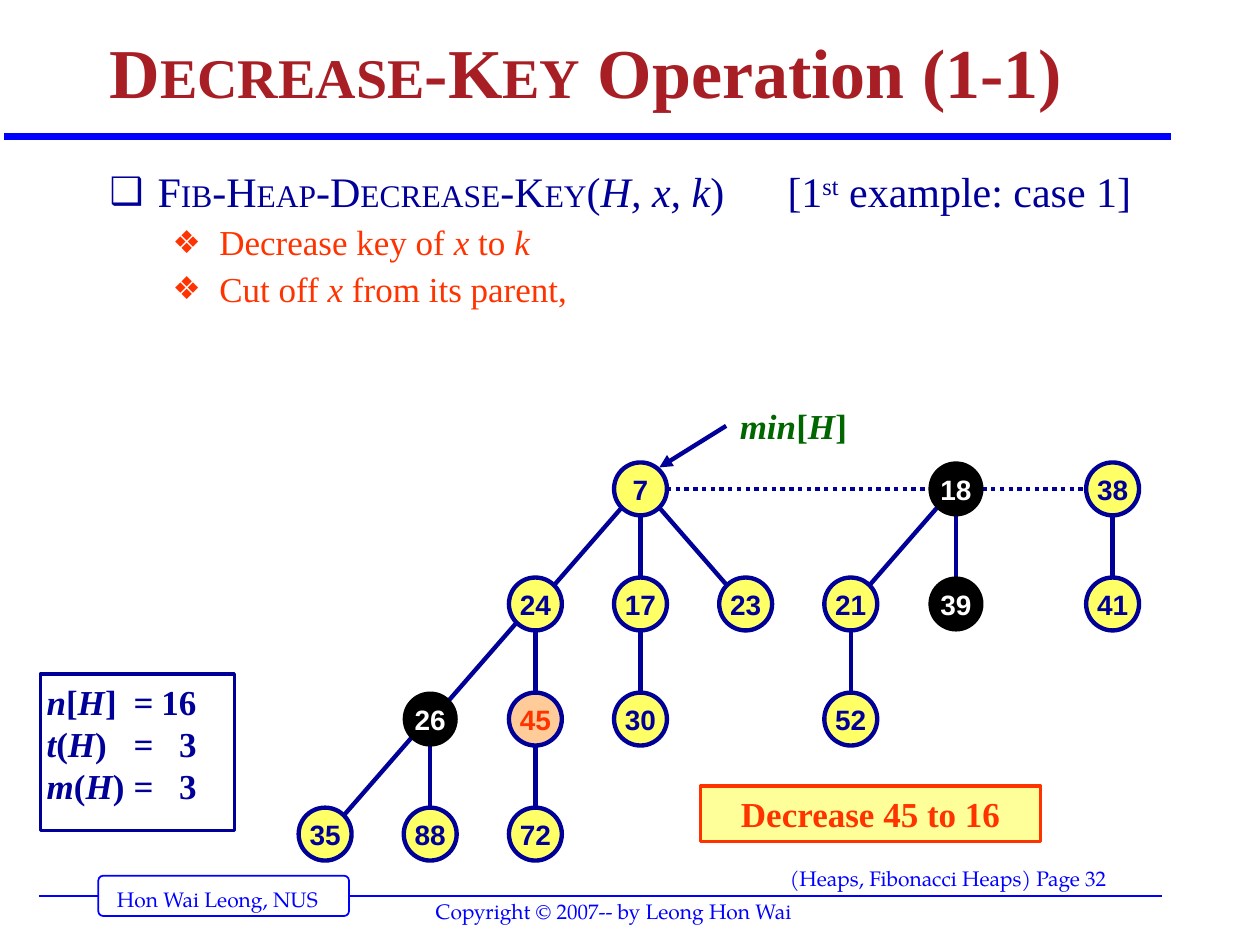
from dataclasses import dataclass

from lxml import etree
from pptx import Presentation
from pptx.dml.color import RGBColor
from pptx.enum.dml import MSO_LINE
from pptx.enum.shapes import MSO_CONNECTOR, MSO_SHAPE
from pptx.enum.text import MSO_ANCHOR, MSO_AUTO_SIZE, PP_ALIGN
from pptx.oxml.ns import qn
from pptx.util import Inches, Pt

STRAIGHT = MSO_CONNECTOR.STRAIGHT
DOTTED = MSO_LINE.ROUND_DOT
OVAL, RECTANGLE, ROUNDED = MSO_SHAPE.OVAL, MSO_SHAPE.RECTANGLE, MSO_SHAPE.ROUNDED_RECTANGLE
TOP, MIDDLE, BOTTOM = MSO_ANCHOR.TOP, MSO_ANCHOR.MIDDLE, MSO_ANCHOR.BOTTOM
LEFT, CENTER = PP_ALIGN.LEFT, PP_ALIGN.CENTER
NO_AUTOFIT = MSO_AUTO_SIZE.NONE
COLUMNS, ROWS = 100, 75
WIDTH, HEIGHT = Inches(10), Inches(7.5)


@dataclass(frozen=True)
class Theme:
    """Colours, fonts and type sizes of the slide."""
    serif: str = "Times New Roman"
    sans: str = "Arial"
    footer_font: str = "TeX Gyre Pagella"
    title: str = "A81E25"
    navy: str = "000099"
    blue: str = "0000FF"
    accent: str = "FF3300"
    green: str = "006600"
    yellow: str = "FFFF66"
    pale_yellow: str = "FFFF99"
    peach: str = "FFCC99"
    black: str = "000000"
    white: str = "FFFFFF"
    title_size: int = 40
    title_caps: int = 32
    heading_size: int = 24
    heading_caps: int = 18
    text_size: int = 20
    node_size: int = 16
    footer_size: int = 12


@dataclass(frozen=True)
class Box:
    """A region in columns and rows of the slide grid."""
    left: float
    top: float
    width: float
    height: float

    def inner(self, left, top, width, height):
        """Return a box offset from this one's corner."""
        return Box(self.left + left, self.top + top, width, height)

    def emu(self):
        """Return the position and size as slide lengths."""
        return (across(self.left), down(self.top), across(self.width), down(self.height))


THEME = Theme()
NODE_STYLES = {
    "plain": (THEME.yellow, THEME.navy, THEME.navy, 2.5),
    "marked": (THEME.black, THEME.black, THEME.white, 1.25),
    "target": (THEME.peach, THEME.navy, THEME.accent, 2.5),
}
NODES = {
    7: (3, 0), 18: (6, 0), 38: (7.49, 0),
    24: (2, 1), 17: (3, 1), 23: (4, 1), 21: (5, 1), 39: (6, 1), 41: (7.49, 1),
    26: (1, 2), 45: (2, 2), 30: (3, 2), 52: (5, 2),
    35: (0, 3), 88: (1, 3), 72: (2, 3),
}
SPECIAL_NODES = {18: "marked", 39: "marked", 26: "marked", 45: "target"}
CHILDREN = {7: (24, 17, 23), 18: (21, 39), 38: (41,), 24: (26, 45),
            17: (30,), 21: (52,), 26: (35, 88), 45: (72,)}
ROOTS = (7, 18, 38)


def across(columns):
    """Convert grid columns to a length."""
    return round(WIDTH * columns / COLUMNS)


def down(rows):
    """Convert grid rows to a length."""
    return round(HEIGHT * rows / ROWS)


def add_text(paragraph, text, size=THEME.text_size, color=THEME.navy, font=THEME.serif,
             bold=False, italic=False, baseline=None):
    """Add one formatted run."""
    run = paragraph.add_run()
    run.text = text
    run.font.size, run.font.name = Pt(size), font
    run.font.bold, run.font.italic = bold, italic
    run.font.color.rgb = RGBColor.from_string(color)
    if baseline:
        run.font._element.set("baseline", str(baseline))


def add_alternating(paragraph, text, alternate, **style):
    """Add runs split at bars, giving every second one the alternate format."""
    for index, piece in enumerate(text.split("|")):
        if piece:
            add_text(paragraph, piece, **(style | alternate if index % 2 else style))


def set_tabs(paragraph, *stops):
    """Set tab stops given as pairs of inches and alignment."""
    tab_list = etree.SubElement(paragraph._p.get_or_add_pPr(), qn("a:tabLst"))
    for position, alignment in stops:
        etree.SubElement(tab_list, qn("a:tab"), pos=str(Inches(position)), algn=alignment)


def set_bullet(paragraph, character, color, margin, hanging):
    """Give a paragraph a coloured hanging bullet."""
    properties = paragraph._p.get_or_add_pPr()
    properties.set("marL", str(Inches(margin)))
    properties.set("indent", str(-Inches(hanging)))
    bullet_color = etree.SubElement(properties, qn("a:buClr"))
    etree.SubElement(bullet_color, qn("a:srgbClr"), val=color)
    etree.SubElement(properties, qn("a:buSzPct"), val="90000")
    etree.SubElement(properties, qn("a:buChar"), char=character)


def set_frame(shape, anchor=TOP, margin=0.1, wrap=True):
    """Set the text frame's layout and return the frame."""
    frame = shape.text_frame
    frame.auto_size, frame.word_wrap, frame.vertical_anchor = NO_AUTOFIT, wrap, anchor
    frame.margin_left = frame.margin_right = Inches(margin)
    frame.margin_top = frame.margin_bottom = Inches(0.05)
    return frame


def add_label(slide, box, anchor=TOP):
    """Add an unwrapped text box and return its paragraph."""
    return set_frame(slide.shapes.add_textbox(*box.emu()), anchor, wrap=False).paragraphs[0]


def add_panel(slide, kind, box, line, fill=None, weight=1):
    """Add an outlined shape with an optional fill."""
    shape = slide.shapes.add_shape(kind, *box.emu())
    shape.shadow.inherit = False
    shape.line.color.rgb, shape.line.width = RGBColor.from_string(line), Pt(weight)
    if fill:
        shape.fill.solid()
        shape.fill.fore_color.rgb = RGBColor.from_string(fill)
    else:
        shape.fill.background()
    return shape


def add_line(slide, start, end, color=THEME.navy, weight=2.5, dotted=False, arrow=False):
    """Draw a line between two grid points."""
    connector = slide.shapes.add_connector(
        STRAIGHT, across(start[0]), down(start[1]), across(end[0]), down(end[1]))
    connector.line.color.rgb, connector.line.width = RGBColor.from_string(color), Pt(weight)
    if dotted:
        connector.line.dash_style = DOTTED
    properties = connector.element.spPr
    if arrow:
        etree.SubElement(properties.find(qn("a:ln")), qn("a:tailEnd"), type="triangle")
    etree.SubElement(properties, qn("a:effectLst"))


def build_footer(slide, box):
    """Place the footer rule, author tab and credits."""
    middle = box.top + 2.9
    add_line(slide, (box.left, middle), (box.left + box.width, middle), THEME.blue, 1)
    tab = add_panel(slide, ROUNDED, box.inner(4.7, 1.3, 19.9, 3.2), THEME.blue, THEME.white)
    tab.adjustments[0] = 0.125
    for text, area in (("Hon Wai Leong, NUS", box.inner(5.2, 1.7, 18.2, 3)),
                       ("(Heaps, Fibonacci Heaps) Page 32", box.inner(58.6, 0, 34.4, 3.2)),
                       ("Copyright © 2007-- by Leong Hon Wai", box.inner(30.5, 2.6, 31.5, 3))):
        add_text(add_label(slide, area), text, THEME.footer_size, THEME.blue, THEME.footer_font)


def build_title(slide, box):
    """Fill the title placeholder and draw the rule below it."""
    title = slide.shapes.title
    title.left, title.top, title.width, title.height = box.emu()
    paragraph = set_frame(title, BOTTOM).paragraphs[0]
    paragraph.alignment, paragraph.line_spacing = LEFT, 0.9
    add_alternating(paragraph, "D|ECREASE|-K|EY| Operation (1-1)", {"size": THEME.title_caps},
                    size=THEME.title_size, color=THEME.title, bold=True)
    rule = box.top + 10
    add_line(slide, (0.3, rule), (92.9, rule), THEME.blue, 4)


def build_body(slide, box):
    """Fill the body placeholder with the procedure and its steps."""
    body = slide.placeholders[1]
    body.left, body.top, body.width, body.height = box.emu()
    frame = set_frame(body)
    heading = frame.paragraphs[0]
    heading.line_spacing, heading.space_before = 0.9, Pt(15)
    set_bullet(heading, "❑", THEME.navy, 0.38, 0.38)
    set_tabs(heading, (5.38, "l"))
    size = THEME.heading_size
    add_alternating(heading, "F|IB|-H|EAP|-D|ECREASE|-K|EY|(",
                    {"size": THEME.heading_caps}, size=size)
    add_alternating(heading, "|H, x, k|)\t[1", {"italic": True}, size=size)
    add_alternating(heading, "|st| example: case 1]", {"baseline": 30000}, size=size)
    for step in ("Decrease key of |x| to |k", "Cut off |x| from its parent,"):
        paragraph = frame.add_paragraph()
        paragraph.level, paragraph.line_spacing, paragraph.space_before = 1, 0.9, Pt(5)
        set_bullet(paragraph, "❖", THEME.accent, 0.87, 0.37)
        add_alternating(paragraph, step, {"italic": True}, color=THEME.accent)


def build_heap(slide, box):
    """Draw the heap's trees, root list and minimum pointer."""
    radius, column, row = 2.1, box.width / 7.49, box.height / 3
    centers = {key: (box.left + x * column, box.top + y * row) for key, (x, y) in NODES.items()}
    for parent, children in CHILDREN.items():
        for child in children:
            (x1, y1), (x2, y2) = centers[parent], centers[child]
            side = NODES[child][0] - NODES[parent][0]
            reach = radius * (0.71 if side else 1)
            add_line(slide, (x1 + side * reach, y1 + reach), (x2 - side * reach, y2 - reach))
    for first, second in zip(ROOTS, ROOTS[1:]):
        (x1, y1), (x2, y2) = centers[first], centers[second]
        add_line(slide, (x1 + radius, y1), (x2 - radius, y2), dotted=True)
    for key, (x, y) in centers.items():
        fill, line, color, weight = NODE_STYLES[SPECIAL_NODES.get(key, "plain")]
        area = Box(x - radius, y - radius, 2 * radius, 2 * radius)
        node = add_panel(slide, OVAL, area, line, fill, weight)
        paragraph = set_frame(node, MIDDLE, wrap=False).paragraphs[0]
        paragraph.alignment = CENTER
        add_text(paragraph, str(key), THEME.node_size, color, THEME.sans, bold=True)
    x, y = centers[ROOTS[0]]
    add_line(slide, (x + 6.8, y - 5), (x + 1.5, y - 1.7), arrow=True)
    label = add_label(slide, Box(x + 6.9, y - 7.1, 9.3, 4.2), MIDDLE)
    add_alternating(label, "|min|[|H|]", {"italic": True}, color=THEME.green, bold=True)


def build_counts(slide, box):
    """List the heap's counts in an outlined box."""
    frame = set_frame(add_panel(slide, RECTANGLE, box, THEME.navy, weight=2), margin=0.05)
    for index, count in enumerate(("|n|[|H|]\t=\t16", "|t|(|H|)\t=\t3", "|m|(|H|)\t=\t3")):
        paragraph = frame.add_paragraph() if index else frame.paragraphs[0]
        paragraph.alignment = LEFT
        set_tabs(paragraph, (0.69, "l"), (1.19, "r"))
        add_alternating(paragraph, count, {"italic": True}, bold=True)


def build_callout(slide, box):
    """State the operation in a highlighted box."""
    panel = add_panel(slide, RECTANGLE, box, THEME.accent, THEME.pale_yellow, 2)
    paragraph = set_frame(panel, MIDDLE, 0.05).paragraphs[0]
    paragraph.alignment = CENTER
    add_text(paragraph, "Decrease 45 to 16", color=THEME.accent, bold=True)


def main():
    """Build and save the presentation."""
    presentation = Presentation()
    presentation.slide_width, presentation.slide_height = WIDTH, HEIGHT
    slide = presentation.slides.add_slide(presentation.slide_layouts[1])
    build_footer(slide, Box(3.1, 68.2, 89.1, 5.6))
    build_title(slide, Box(7.7, 0.8, 85, 8.7))
    build_body(slide, Box(7.7, 13.1, 87.5, 15.7))
    build_heap(slide, Box(25.8, 38.8, 62.5, 27.4))
    build_counts(slide, Box(3.2, 53.5, 15.4, 12.4))
    build_callout(slide, Box(55.6, 62.4, 27, 4.4))
    presentation.save("out.pptx")


if __name__ == "__main__":
    main()
